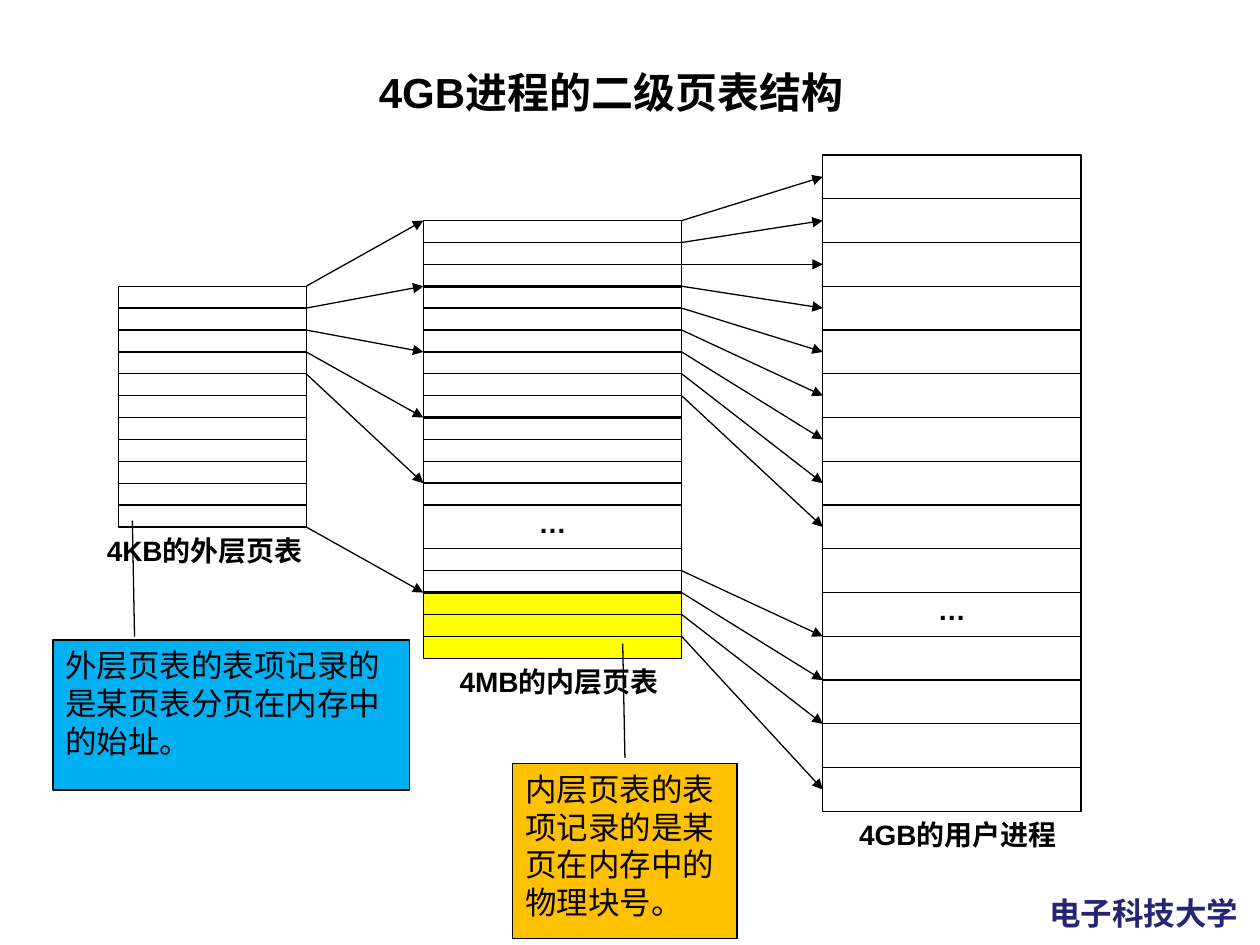
import pptx
import pptx.util
import pptx.dml.color
import pptx.enum.shapes
import pptx.enum.text
import pptx.oxml.ns
import lxml.etree

Inches = pptx.util.Inches
Pt = pptx.util.Pt
RGBColor = pptx.dml.color.RGBColor
Shape = pptx.enum.shapes.MSO_SHAPE
Align = pptx.enum.text.PP_ALIGN
Anchor = pptx.enum.text.MSO_ANCHOR

BLACK = RGBColor(0x00, 0x00, 0x00)
WHITE = RGBColor(0xFF, 0xFF, 0xFF)
YELLOW = RGBColor(0xFF, 0xFF, 0x00)
BLUE = RGBColor(0x00, 0xB0, 0xF0)
ORANGE = RGBColor(0xFF, 0xC0, 0x00)
NAVY = RGBColor(0x26, 0x26, 0x73)

TOP = 1.23
ROW = 5.21 / 30
OUTER = (0.94, 1.49)
INNER = (3.36, 2.05)
PROCESS = (6.53, 2.05)

OUTER_CELLS = [(row, 1, WHITE, "") for row in range(6, 17)]
PROCESS_CELLS = [(row, 2, WHITE, "…" if row == 20 else "") for row in range(0, 30, 2)]
INNER_CELLS = (
    [(row, 1, WHITE, "") for row in range(3, 16)]
    + [(16, 2, WHITE, "…")]
    + [(row, 1, WHITE, "") for row in (18, 19)]
    + [(row, 1, YELLOW, "") for row in (20, 21, 22)]
)
OUTER_LINKS = [(6 + i, 3 + 3 * i) for i in range(5)] + [(17, 20)]
INNER_LINKS = [(3 + i, 1 + 2 * i) for i in range(9)] + [(19, 22), (20, 24), (21, 26), (22, 29)]
PAGE_EDGES = [6, 9, 12, 15, 20]

LABELS = [
    (6.72, 30, "4GB", "的用户进程"),
    (3.55, 23, "4MB", "的内层页表"),
    (0.75, 17, "4KB", "的外层页表"),
]
NOTES = [
    ((0.42, 5.08, 2.83, 1.19), (-0.023, 0.229, -0.796, 0.223), BLUE,
     "外层页表的表项记录的是某页表分页在内存中的始址。"),
    ((4.07, 6.06, 1.78, 1.39), (-0.685, 0.49, -0.033, 0.5), ORANGE,
     "内层页表的表项记录的是某页在内存中的物理块号。"),
]


def row_y(row):
    return TOP + row * ROW


def write(frame, runs, size, bold=True, color=BLACK, align=Align.LEFT, wrap=True):
    frame.word_wrap = wrap
    frame.vertical_anchor = Anchor.TOP
    para = frame.paragraphs[0]
    para.alignment = align
    for text in runs:
        run = para.add_run()
        run.text = text
        run.font.name = "Arial"
        run.font.size = Pt(size)
        run.font.bold = bold
        run.font.color.rgb = color


def add_label(slide, place, runs, size, **style):
    box = slide.shapes.add_textbox(*map(Inches, place))
    write(box.text_frame, runs, size, **style)


def add_box(slide, kind, place, fill):
    box = slide.shapes.add_shape(kind, *map(Inches, place))
    box.shadow.inherit = False
    box.fill.solid()
    box.fill.fore_color.rgb = fill
    box.line.color.rgb = BLACK
    box.line.width = Pt(0.75)
    return box


def add_cells(slide, column, cells):
    left, width = column
    for row, span, fill, text in cells:
        cell = add_box(slide, Shape.RECTANGLE, (left, row_y(row), width, span * ROW), fill)
        if text:
            frame = cell.text_frame
            frame.margin_left = frame.margin_right = 0
            frame.margin_top = frame.margin_bottom = 0
            write(frame, [text], 16, align=Align.CENTER)


def add_line(slide, start, end, width, arrow=False):
    kind = pptx.enum.shapes.MSO_CONNECTOR.STRAIGHT
    line = slide.shapes.add_connector(kind, *map(Inches, start + end))
    line.line.color.rgb = BLACK
    line.line.width = Pt(width)
    qn = pptx.oxml.ns.qn
    if arrow:
        lxml.etree.SubElement(line.line._get_or_add_ln(), qn("a:tailEnd"), type="triangle")
    lxml.etree.SubElement(line._element.spPr, qn("a:effectLst"))


def add_links(slide, source, target, links):
    for start, end in links:
        add_line(slide, (sum(source), row_y(start)), (target[0], row_y(end)), 0.75, True)


def main():
    deck = pptx.Presentation()
    deck.slide_width = Inches(10)
    deck.slide_height = Inches(7.5)
    slide = deck.slides.add_slide(deck.slide_layouts[6])

    add_label(slide, (8.23, 7.05, 1.73, 0.4), ["电子科技大学"], 18, color=NAVY, wrap=False)
    add_cells(slide, OUTER, OUTER_CELLS)
    add_cells(slide, PROCESS, PROCESS_CELLS)
    add_links(slide, INNER, PROCESS, INNER_LINKS)
    add_links(slide, OUTER, INNER, OUTER_LINKS)
    add_cells(slide, INNER, INNER_CELLS)
    for row in PAGE_EDGES:
        add_line(slide, (INNER[0], row_y(row)), (sum(INNER), row_y(row)), 1.5)

    for left, row, *runs in LABELS:
        add_label(slide, (left, row_y(row), 1.86, 0.52), runs, 16, align=Align.JUSTIFY)
    add_label(slide, (1.12, 0.48, 7.46, 0.52), ["4GB", "进程的二级页表结构"], 24, align=Align.CENTER)

    for place, points, fill, text in NOTES:
        note = add_box(slide, Shape.LINE_CALLOUT_1, place, fill)
        for i, point in enumerate(points):
            note.adjustments[i] = point
        write(note.text_frame, [text], 18, bold=False)

    deck.save("out.pptx")


if __name__ == "__main__":
    main()
